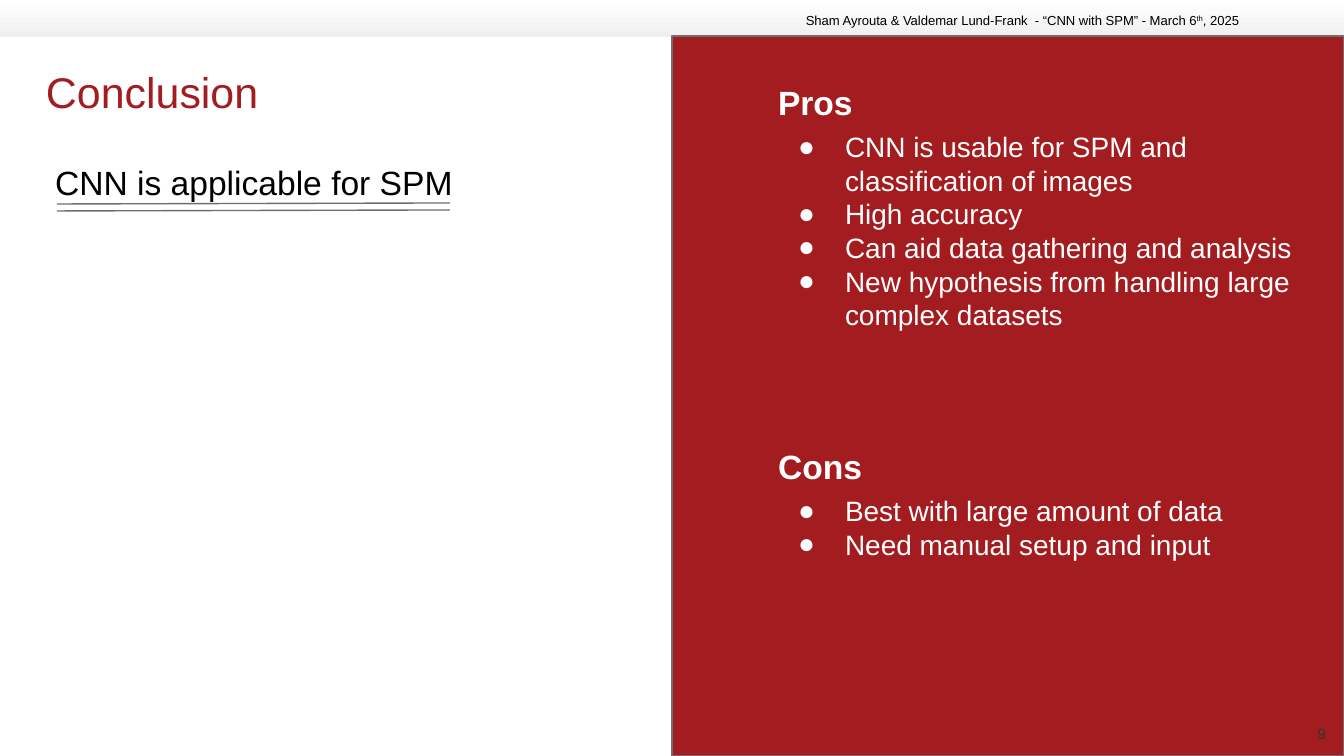
from dataclasses import dataclass
from typing import NamedTuple

from lxml import etree
from pptx import Presentation
from pptx import util as u
from pptx.dml.color import RGBColor
from pptx.enum import shapes, text
from pptx.oxml.ns import qn

EMU_PER_PX = 914400 / 134.4


@dataclass(frozen=True)
class Theme:
    font: str = "Arial"
    red: str = "A31D20"
    white: str = "FFFFFF"
    black: str = "000000"
    outline: str = "6E6E6E"
    number: str = "333333"
    band_end: str = "EFF0EF"
    title: int = 23
    heading: int = 18
    bullet: int = 15
    page: int = 8
    meta: int = 7
    line: float = 0.75


class Box(NamedTuple):
    x: int
    y: int
    w: int
    h: int


class Section(NamedTuple):
    box: Box
    heading: str
    points: list[str]


T = Theme()
INSET = 13
SECTIONS = [
    Section(Box(765, 433, 573, 289), "Cons", [
        "Best with large amount of data",
        "Need manual setup and input",
    ]),
    Section(Box(765, 69, 573, 414), "Pros", [
        "CNN is usable for SPM and classification of images",
        "High accuracy",
        "Can aid data gathering and analysis",
        "New hypothesis from handling large complex datasets",
    ]),
]


def px(n: int) -> u.Emu:
    return u.Emu(round(n * EMU_PER_PX))


def rgb(color: str) -> RGBColor:
    return RGBColor.from_string(color)


def style(p, size: int, color: str, bold: bool = False) -> None:
    for r in p.runs:
        r.font.name = T.font
        r.font.size = u.Pt(size)
        r.font.bold = bold
        r.font.color.rgb = rgb(color)


def add_rect(s, box: Box):
    sp = s.shapes.add_shape(shapes.MSO_SHAPE.RECTANGLE, *map(px, box))
    sp.shadow.inherit = False
    return sp


def add_text(s, box: Box, content: str, size: int, color: str, inset: int = 0,
             bold: bool = False, align=text.PP_ALIGN.LEFT,
             anchor=text.MSO_ANCHOR.TOP):
    tf = s.shapes.add_textbox(*map(px, box)).text_frame
    tf.word_wrap = True
    tf.vertical_anchor = anchor
    tf.margin_left = tf.margin_right = tf.margin_top = tf.margin_bottom = px(inset)
    tf.text = content
    p = tf.paragraphs[0]
    p.alignment = align
    style(p, size, color, bold)
    return tf


def add_bullet(p, color: str) -> None:
    pPr = p._p.get_or_add_pPr()
    pPr.set("marL", str(px(67)))
    pPr.set("indent", str(px(-47)))
    clr = etree.SubElement(pPr, qn("a:buClr"))
    etree.SubElement(clr, qn("a:srgbClr"), val=color)
    etree.SubElement(pPr, qn("a:buFont"), typeface=T.font)
    etree.SubElement(pPr, qn("a:buChar"), char="●")


def add_section(s, section: Section) -> None:
    tf = add_text(s, section.box, section.heading, T.heading, T.white,
                  inset=INSET, bold=True)
    for i, point in enumerate(section.points):
        p = tf.add_paragraph()
        p.text = point
        add_bullet(p, T.white)
        p.space_before = u.Pt(0 if i else 4)
        style(p, T.bullet, T.white)


def add_underline(s, y: int) -> None:
    cx = s.shapes.add_connector(shapes.MSO_CONNECTOR.STRAIGHT,
                                px(57), px(y), px(450), px(y - 1))
    cx.line.color.rgb = rgb(T.outline)
    cx.line.width = u.Pt(T.line)
    etree.SubElement(cx._element.spPr, qn("a:effectLst"))


def main() -> None:
    prs = Presentation()
    prs.slide_width, prs.slide_height = px(1344), px(756)
    s = prs.slides.add_slide(prs.slide_layouts[6])

    # Header band and talk details
    band = add_rect(s, Box(0, 0, 1344, 37))
    band.line.fill.background()
    band.fill.gradient()
    band.fill.gradient_angle = 270
    for stop, color in zip(band.fill.gradient_stops, (T.white, T.band_end)):
        stop.color.rgb = rgb(color)
    tf = add_text(s, Box(739, 10, 567, 20),
                  "Sham Ayrouta & Valdemar Lund-Frank  - “CNN with SPM” - March 6",
                  T.meta, T.black, inset=INSET, align=text.PP_ALIGN.CENTER,
                  anchor=text.MSO_ANCHOR.MIDDLE)
    p = tf.paragraphs[0]
    ordinal, year = p.add_run(), p.add_run()
    ordinal.text, year.text = "th", ", 2025"
    style(p, T.meta, T.black)
    ordinal.font._element.set("baseline", "30000")

    # Red panel
    panel = add_rect(s, Box(672, 36, 672, 720))
    panel.fill.solid()
    panel.fill.fore_color.rgb = rgb(T.red)
    panel.line.color.rgb = rgb(T.outline)
    panel.line.width = u.Pt(T.line)

    # Title and page number
    add_text(s, Box(46, 66, 1253, 85), "Conclusion", T.title, T.red)
    add_text(s, Box(1246, 685, 80, 58), "9", T.page, T.number,
             align=text.PP_ALIGN.RIGHT, anchor=text.MSO_ANCHOR.BOTTOM)

    # Pros and cons
    for section in SECTIONS:
        add_section(s, section)

    # Main claim with double underline
    add_text(s, Box(42, 149, 491, 267), "CNN is applicable for SPM",
             T.heading, T.black, inset=INSET)
    for y in (204, 211):
        add_underline(s, y)

    prs.save("out.pptx")


if __name__ == "__main__":
    main()
